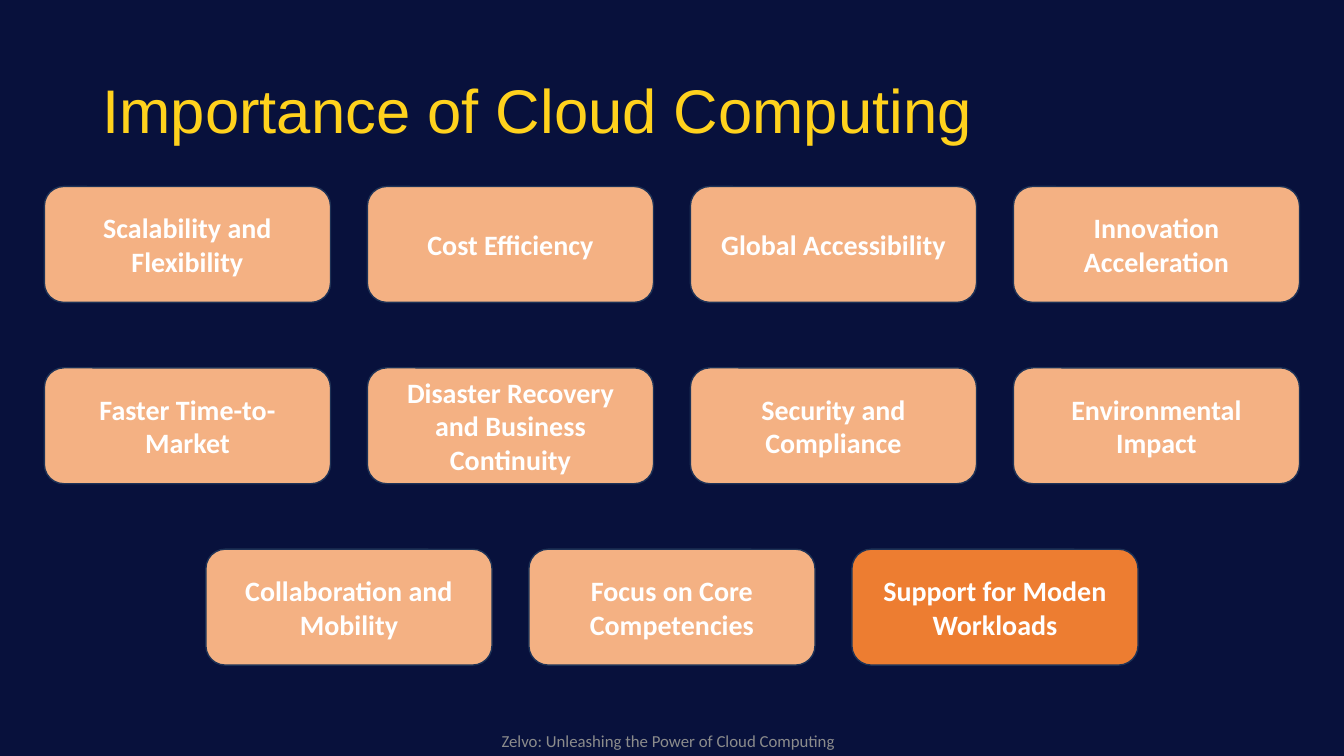
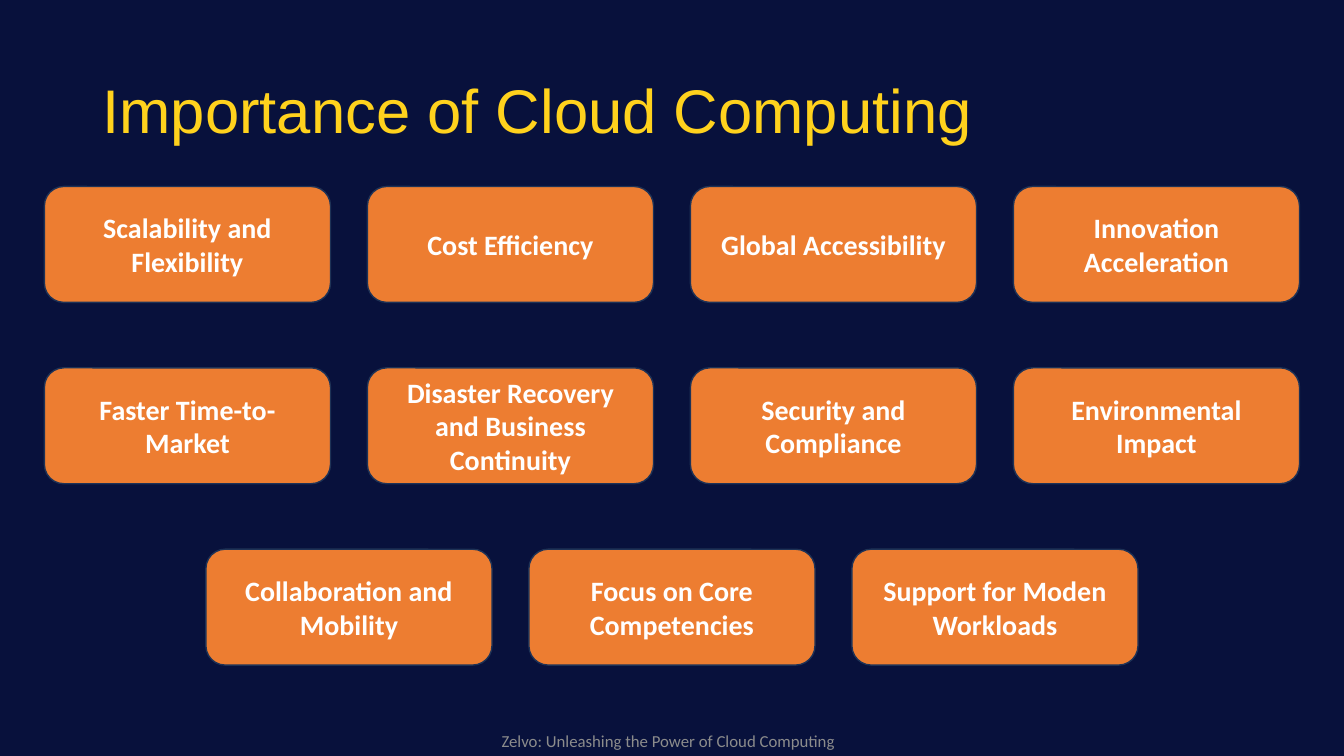
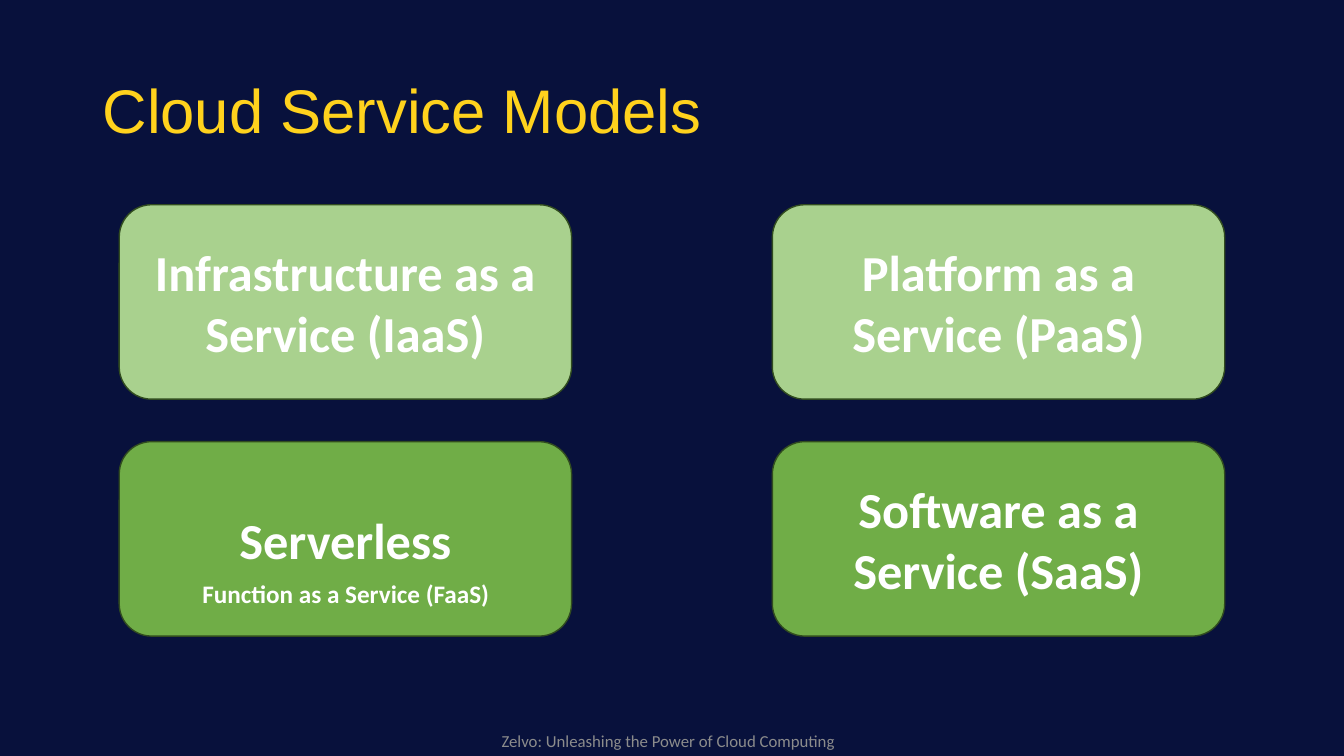
import pptx
import pptx.util
import pptx.dml.color
import pptx.enum.shapes
import pptx.enum.text

Cm, Pt = pptx.util.Cm, pptx.util.Pt
RGB = pptx.dml.color.RGBColor.from_string
ALIGN = pptx.enum.text.PP_ALIGN
MID = pptx.enum.text.MSO_ANCHOR.MIDDLE
ROUND = pptx.enum.shapes.MSO_SHAPE.ROUNDED_RECTANGLE

# Shared look
WIDE, HIGH = 33.87, 19.05
HEX = {"navy": "08113C", "gold": "FFD21D", "grey": "8C8C8C", "white": "FFFFFF",
       "peach": "F4B183", "orange": "ED7D31", "edge": "1E3256",
       "mint": "A9D18E", "green": "70AD47", "moss": "314C1F"}
HEAD = {"name": "Arial", "size": Pt(44), "bold": False}
FOOT = {"name": "Calibri", "size": Pt(12), "bold": False}
NOTE = {"name": "Calibri", "size": Pt(18), "bold": True}


def style(para, form, tone, align):
    para.alignment = align
    for key, val in form.items():
        setattr(para.font, key, val)
    para.font.color.rgb = RGB(HEX[tone])


def label(shapes, text, place, form, tone):
    box = shapes.add_textbox(*map(Cm, place))
    box.text_frame.word_wrap = False
    box.text_frame.auto_size = pptx.enum.text.MSO_AUTO_SIZE.SHAPE_TO_FIT_TEXT
    box.text_frame.text = text
    style(box.text_frame.paragraphs[0], form, tone, ALIGN.LEFT)
    return box


# Content: rows of boxes and one tone for each box
GAINS = [["Scalability and Flexibility", "Cost Efficiency",
          "Global Accessibility", "Innovation Acceleration"],
         ["Faster Time-to-Market", "Disaster Recovery and Business Continuity",
          "Security and Compliance", "Environmental Impact"],
         ["Collaboration and Mobility", "Focus on Core Competencies",
          "Support for Moden Workloads"]]
MODELS = [["Infrastructure as a Service (IaaS)", "Platform as a Service (PaaS)"],
          ["Serverless", "Software as a Service (SaaS)"]]

# Grids: box size, step from box to box, top of first row
SMALL = {"size": (7.21, 2.92), "step": (8.14, 4.57), "top": 4.7,
         "edge": "edge", "font": 20}
LARGE = {"size": (11.4, 4.9), "step": (16.46, 5.97), "top": 5.16,
         "edge": "moss", "font": 36}

DECK = [("Importance of Cloud Computing", GAINS, SMALL, ["peach"] * 10 + ["orange"]),
        ("Importance of Cloud Computing", GAINS, SMALL, ["orange"] * 11),
        ("Cloud Service Models", MODELS, LARGE, ["mint"] * 2 + ["green"] * 2)]

# Deck, background and title place
deck = pptx.Presentation()
deck.slide_width, deck.slide_height = Cm(WIDE), Cm(HIGH)
back = deck.slide_master.background.fill
back.solid()
back.fore_color.rgb = RGB(HEX["navy"])
plan = deck.slide_layouts.get_by_name("Title Only")
spot = {"left": Cm(2.33), "top": Cm(1.01), "width": Cm(29.21), "height": Cm(3.68)}
for key, val in spot.items():
    setattr(plan.placeholders[0], key, val)

for num, (head, rows, grid, tones) in enumerate(DECK):
    slide = deck.slides.add_slide(plan)
    shapes = slide.shapes

    # Footer, moved once to the layout
    if num == 0:
        foot = label(shapes, "Zelvo: Unleashing the Power of Cloud Computing",
                     (12.39, 18.28, 9.09, 0.77), FOOT, "grey")
        plan.shapes.element.append(foot.element)

    # Title
    frame = shapes.title.text_frame
    frame.text = head
    frame.vertical_anchor = MID
    frame.paragraphs[0].line_spacing = 0.9
    style(frame.paragraphs[0], HEAD, "gold", ALIGN.LEFT)

    # Boxes, each row centred on the slide
    tone = iter(tones)
    wide, high = grid["size"]
    across, down = grid["step"]
    form = {"name": "Calibri", "size": Pt(grid["font"]), "bold": True}
    for row, texts in enumerate(rows):
        left = (WIDE - (len(texts) - 1) * across - wide) / 2
        top = grid["top"] + row * down
        for col, text in enumerate(texts):
            box = shapes.add_shape(ROUND, Cm(left + col * across), Cm(top),
                                   Cm(wide), Cm(high))
            box.shadow.inherit = False
            box.fill.solid()
            box.fill.fore_color.rgb = RGB(HEX[next(tone)])
            box.line.color.rgb = RGB(HEX[grid["edge"]])
            box.line.width = Pt(1)
            box.text_frame.word_wrap = True
            box.text_frame.vertical_anchor = MID
            box.text_frame.text = text
            style(box.text_frame.paragraphs[0], form, "white", ALIGN.CENTER)

            # Caption grouped with its box
            if text == "Serverless":
                note = label(shapes, "Function as a Service (FaaS)",
                             (4.85, 14.45, 7.82, 1.02), NOTE, "white")
                shapes.add_group_shape([box, note])

deck.save("out.pptx")
